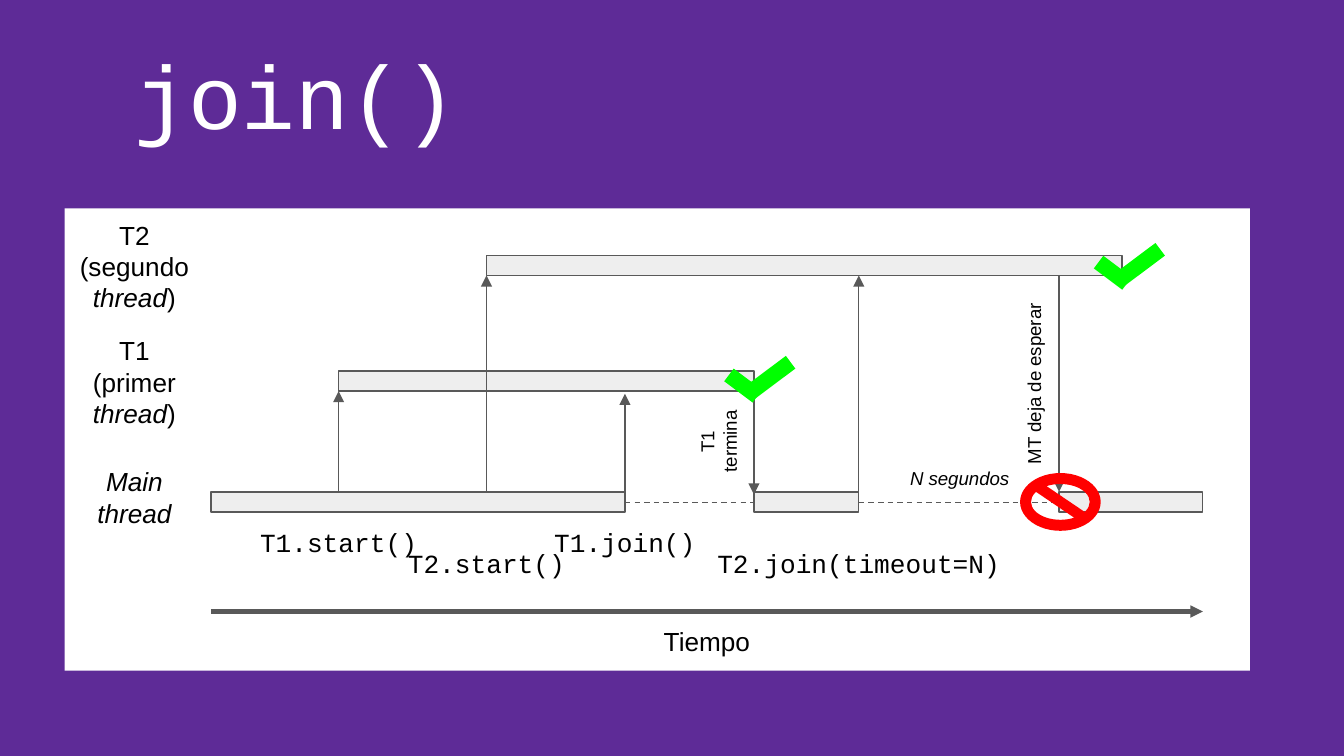
from dataclasses import dataclass

from lxml import etree
from pptx import Presentation
from pptx.dml.color import RGBColor
from pptx.enum.dml import MSO_LINE
from pptx.enum.shapes import MSO_CONNECTOR, MSO_SHAPE
from pptx.enum.text import MSO_ANCHOR, MSO_AUTO_SIZE, PP_ALIGN
from pptx.oxml.ns import qn
from pptx.util import Inches, Pt


@dataclass(frozen=True)
class Theme:
    background: str = "5E2B97"
    white: str = "FFFFFF"
    ink: str = "000000"
    stroke: str = "595959"
    bar: str = "EEEEEE"
    done: str = "00FF00"
    stopped: str = "FF0000"
    sans: str = "Arial"
    mono: str = "Courier New"
    title_size: int = 48
    label_size: int = 14
    note_size: int = 10
    thin: float = 0.75
    thick: float = 2.25


THEME = Theme()


def rgb(value):
    return RGBColor.from_string(value)


def write_text(frame, parts, size=THEME.label_size, font=THEME.sans, color=THEME.ink,
               align=PP_ALIGN.CENTER, anchor=MSO_ANCHOR.MIDDLE):
    """Fill a frame from (text, italic) parts; a newline part is a line break."""
    frame.word_wrap = True
    frame.auto_size = MSO_AUTO_SIZE.NONE
    frame.vertical_anchor = anchor
    frame.margin_left = frame.margin_right = Inches(0.1)
    frame.margin_top = frame.margin_bottom = Inches(0.1)
    paragraph = frame.paragraphs[0]
    paragraph.alignment = align
    for words, italic in parts:
        if words == "\n":
            paragraph.add_line_break()
            continue
        run = paragraph.add_run()
        run.text = words
        run.font.size = Pt(size)
        run.font.name = font
        run.font.italic = italic
        run.font.color.rgb = rgb(color)


class ThreadDiagram:
    def __init__(self, slide, theme):
        self.slide = slide
        self.theme = theme
        slide.background.fill.solid()
        slide.background.fill.fore_color.rgb = rgb(theme.background)

    def title(self, words, left, top, width, height):
        heading = self.slide.shapes.title
        heading.left, heading.top = Inches(left), Inches(top)
        heading.width, heading.height = Inches(width), Inches(height)
        write_text(heading.text_frame, [(words, False)], size=self.theme.title_size,
                   font=self.theme.mono, color=self.theme.white, align=PP_ALIGN.LEFT)

    def label(self, parts, left, top, width, height, rotation=0, **text_format):
        box = self.slide.shapes.add_textbox(
            Inches(left), Inches(top), Inches(width), Inches(height))
        box.rotation = rotation
        write_text(box.text_frame, parts, **text_format)

    def shape(self, preset, left, top, width, height, fill, outlined=False,
              rotation=0, adjustment=None):
        figure = self.slide.shapes.add_shape(
            preset, Inches(left), Inches(top), Inches(width), Inches(height))
        figure.shadow.inherit = False
        figure.rotation = rotation
        figure.fill.solid()
        figure.fill.fore_color.rgb = rgb(fill)
        if outlined:
            figure.line.color.rgb = rgb(self.theme.stroke)
            figure.line.width = Pt(self.theme.thin)
        else:
            figure.line.fill.background()
        if adjustment is not None:
            figure.adjustments[0] = adjustment

    def bar(self, start, end, top):
        self.shape(MSO_SHAPE.RECTANGLE, start, top, end - start, 0.15,
                   self.theme.bar, outlined=True)

    def line(self, x1, y1, x2, y2, width=THEME.thin, arrow=True):
        """Draw an arrow, or a dashed waiting line when arrow is False."""
        connector = self.slide.shapes.add_connector(
            MSO_CONNECTOR.STRAIGHT, Inches(x1), Inches(y1), Inches(x2), Inches(y2))
        connector.line.color.rgb = rgb(self.theme.stroke)
        connector.line.width = Pt(width)
        if arrow:
            etree.SubElement(connector.line._get_or_add_ln(), qn("a:tailEnd"),
                             type="triangle")
        else:
            connector.line.dash_style = MSO_LINE.DASH
        etree.SubElement(connector._element.spPr, qn("a:effectLst"))

    def check_mark(self, left, top):
        for dx, dy, width, angle in ((0, 0.06, 0.36, 36.8), (0.12, 0, 0.52, 323.2)):
            self.shape(MSO_SHAPE.MATH_MINUS, left + dx, top + dy, width, 0.5,
                       self.theme.done, rotation=angle, adjustment=0.235)


def main():
    presentation = Presentation()
    presentation.slide_width = Inches(10)
    presentation.slide_height = Inches(10 * 9 / 16)
    slide = presentation.slides.add_slide(presentation.slide_layouts[5])
    diagram = ThreadDiagram(slide, THEME)

    diagram.title("join()", 0.9, 0.39, 8.19, 0.62)
    diagram.shape(MSO_SHAPE.RECTANGLE, 0.48, 1.55, 8.82, 3.44, THEME.white)

    row_height = 0.86
    for name, top in (
        ([("T1", False), ("\n", False), ("(primer ", False), ("thread", True),
          (")", False)], 2.41),
        ([("T2 (segundo ", False), ("thread", True), (")", False)], 1.55),
        ([("Main thread", True)], 3.27),
    ):
        diagram.label(name, 0.44, top, 1.12, row_height)

    t2_top, t1_top, main_top = 1.9, 2.76, 3.66
    t2_bottom, t1_bottom = t2_top + 0.15, t1_top + 0.15
    axis_start, axis_end = 1.57, 8.95
    t1_start, t2_start, t1_join, t1_end = 2.52, 3.62, 4.65, 5.61
    t2_join, timeout, t2_end = 6.39, 7.88, 8.35

    for start, end, top in (
        (t1_start, t1_end, t1_top),
        (axis_start, t1_join, main_top),
        (t1_end, t2_join, main_top),
        (timeout, axis_end, main_top),
        (t2_start, t2_end, t2_top),
    ):
        diagram.bar(start, end, top)

    diagram.label([("Tiempo", False)], axis_start, 4.13, axis_end - axis_start,
                  row_height, anchor=MSO_ANCHOR.BOTTOM)
    for call, center, width, anchor in (
        ("T1.join()", t1_join, 1.47, MSO_ANCHOR.TOP),
        ("T1.start()", t1_start, 1.47, MSO_ANCHOR.TOP),
        ("T2.join(timeout=N)", t2_join, 2.62, MSO_ANCHOR.MIDDLE),
        ("T2.start()", t2_start, 1.47, MSO_ANCHOR.MIDDLE),
    ):
        diagram.label([(call, False)], center - width / 2, 3.82, width, 0.74,
                      font=THEME.mono, anchor=anchor)

    diagram.line(axis_start, 4.55, axis_end, 4.55, width=THEME.thick)
    for moment, source, target in (
        (t1_start, main_top, t1_bottom),
        (t1_end, 2.93, 3.68),
        (timeout, t2_bottom, main_top),
        (t2_start, main_top, t2_bottom),
        (t1_join, 3.68, 2.93),
        (t2_join, main_top, t2_bottom),
    ):
        diagram.line(moment, source, moment, target)
    for start, end in ((t1_join, t1_end), (t2_join, timeout)):
        diagram.line(start, 3.74, end, 3.74, arrow=False)

    note = {"size": THEME.note_size, "anchor": MSO_ANCHOR.BOTTOM}
    diagram.label([("T1 termina", False)], 5.02, 3.07, 0.75, 0.43, rotation=270, **note)
    diagram.label([("MT deja de esperar", False)], 6.86, 2.64, 1.6, 0.43,
                  rotation=270, **note)
    diagram.check_mark(5.35, 2.56)
    diagram.check_mark(8.1, 1.72)
    diagram.shape(MSO_SHAPE.NO_SYMBOL, 7.59, 3.52, 0.6, 0.43, THEME.stopped,
                  adjustment=0.19)
    diagram.label([("N segundos", True)], 6.64, 3.42, 1, 0.32, **note)

    presentation.save("out.pptx")


if __name__ == "__main__":
    main()
